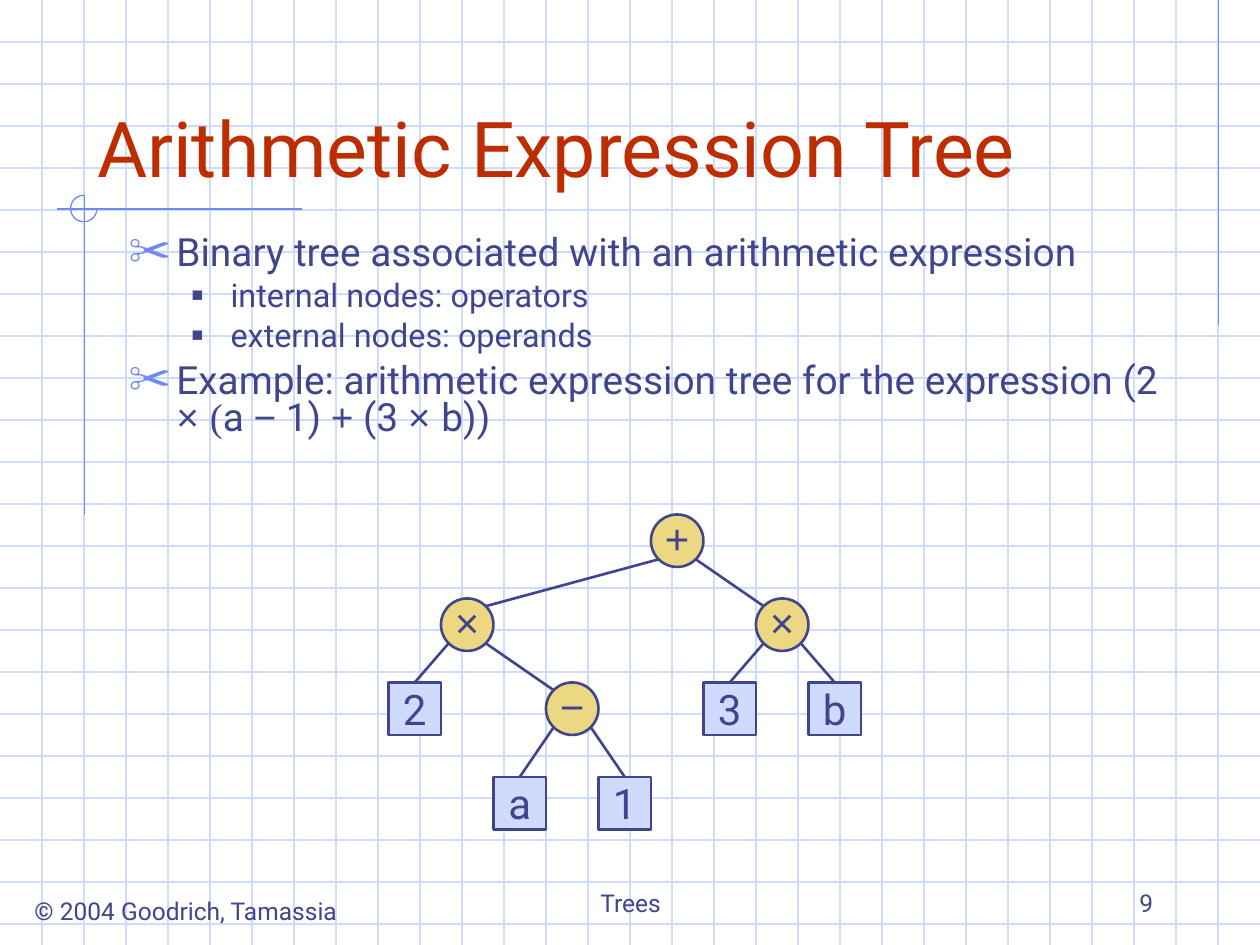
from lxml import etree
from pptx import Presentation
from pptx.dml.color import RGBColor
from pptx.enum.shapes import MSO_CONNECTOR, MSO_SHAPE as Shape
from pptx.enum.text import MSO_ANCHOR as Anchor, MSO_AUTO_SIZE as AutoSize, PP_ALIGN as Align
from pptx.oxml.ns import qn
from pptx.util import Inches, Pt

INK, RED, BLUE, PALE, GOLD = "40458C", "BE2D00", "6F89F7", "CFDBFD", "ECD882"
rgb = RGBColor.from_string


def draw_line(x1, y1, x2, y2, color, width=0.75):
    line = shapes.add_connector(MSO_CONNECTOR.STRAIGHT, *map(Inches, (x1, y1, x2, y2)))
    line.line.color.rgb = rgb(color)
    line.line.width = Pt(width)
    etree.SubElement(line._element.spPr, qn("a:effectLst"))


def format_text(paragraph, size, color=INK, font="Roboto", align=Align.LEFT):
    paragraph.alignment = align
    paragraph.font.size = Pt(size)
    paragraph.font.color.rgb = rgb(color)
    if font:
        paragraph.font.name = font


prs = Presentation()
prs.slide_width, prs.slide_height = Inches(10), Inches(7.5)
slide = prs.slides.add_slide(prs.slide_layouts[1])
shapes = slide.shapes
title, body = shapes.title, slide.placeholders[1]

# Squared paper, three squares to the inch
for row in range(1, 23):
    draw_line(0, row / 3, 10, row / 3, PALE)
for column in range(1, 30):
    draw_line(column / 3, 0, column / 3, 7.5, PALE)

# Blue rules and the three-quarter circle at their crossing
draw_line(9.67, 0, 9.67, 2.58, BLUE)
draw_line(0.45, 1.66, 2.4, 1.66, BLUE)
draw_line(0.67, 1.55, 0.67, 4.09, BLUE)
arc = shapes.add_shape(Shape.ARC, *map(Inches, (0.56, 1.55, 0.21, 0.21)))
arc.adjustments[0], arc.adjustments[1] = 0, 162  # 0 to 270 degrees
arc.shadow.inherit = False
arc.fill.background()
arc.line.color.rgb = rgb(BLUE)
arc.line.width = Pt(0.75)

# Footer
for text, box, anchor, align in (
    ("© 2004 Goodrich, Tamassia", (0.12, 7.06, 2.71, 0.34), Anchor.TOP, Align.CENTER),
    ("Trees", (3.42, 6.83, 3.17, 0.5), Anchor.BOTTOM, Align.CENTER),
    ("9", (7.17, 6.83, 2.08, 0.5), Anchor.BOTTOM, Align.RIGHT),
):
    footer = shapes.add_textbox(*map(Inches, box)).text_frame
    footer.word_wrap = True
    footer.vertical_anchor = anchor
    footer.text = text
    format_text(footer.paragraphs[0], 14, align=align)

# Title and list, brought in front of the squared paper
for holder, box, anchor in (
    (title, (0.67, 0.33, 8.5, 1.25), Anchor.BOTTOM),
    (body, (0.92, 1.83, 8.5, 2.08), Anchor.TOP),
):
    holder.left, holder.top, holder.width, holder.height = map(Inches, box)
    holder.text_frame.auto_size = AutoSize.NONE
    holder.text_frame.vertical_anchor = anchor
    shapes._spTree.append(holder._element)
title.text_frame.text = "Arithmetic Expression Tree"
format_text(title.text_frame.paragraphs[0], 44, RED)

# Per level: size, space before, left margin, hanging indent, bullet, its colour and percent
levels = (
    (22.2, 6, 0.38, 0.38, "✂", BLUE, 110),
    (18.5, 5, 0.81, 0.31, "■", INK, 60),
)
points = (
    (0, [("Binary tree associated with an arithmetic expression", "Roboto")]),
    (1, [("internal nodes: operators", "Roboto")]),
    (1, [("external nodes: operands", "Roboto")]),
    (0, [
        ("Example: arithmetic expression tree for the expression (2 ", "Roboto"),
        ("× ", "Arial"), ("(", "Times New Roman"), ("a ", "Roboto"),
        ("−", "Arial"), (" 1) ", "Roboto"), ("+", "Arial"),
        (" (3 ", "Roboto"), ("× ", "Arial"), ("b))", "Roboto"),
    ]),
)
for index, (level, parts) in enumerate(points):
    size, space, margin, hanging, bullet, bullet_color, percent = levels[level]
    point = body.text_frame.add_paragraph() if index else body.text_frame.paragraphs[0]
    point.level = level
    props = point._p.get_or_add_pPr()
    props.set("marL", str(Inches(margin)))
    props.set("indent", str(-Inches(hanging)))
    color_tag = etree.SubElement(props, qn("a:buClr"))
    etree.SubElement(color_tag, qn("a:srgbClr"), val=bullet_color)
    etree.SubElement(props, qn("a:buSzPct"), val=str(percent * 1000))
    etree.SubElement(props, qn("a:buChar"), char=bullet)
    point.line_spacing = 0.8
    point.space_before = Pt(space if index else 0)
    format_text(point, size, font=parts[0][1] if len(parts) == 1 else None)
    for text, font in parts:
        run = point.add_run()
        run.text = text
        if len(parts) > 1:
            run.font.name = font

# Expression tree: symbol, column, row in twelfths of an inch, parent, side of parent
UNIT, NODE = 1 / 12, 5 / 12
DIAGONAL = NODE / 2 * (1 - 0.5 ** 0.5)  # from a circle's box to its 45 degree point
nodes = (
    ("+", 62, 49, None, None),
    ("×", 42, 57, 0, "left"),
    ("×", 72, 57, 0, "right"),
    ("−", 52, 65, 1, "right"),
    ("2", 37, 65, 1, "left"),
    ("a", 47, 74, 3, "left"),
    ("1", 57, 74, 3, "right"),
    ("3", 67, 65, 2, "left"),
    ("b", 77, 65, 2, "right"),
)
for symbol, column, row, parent, side in nodes:
    x, y = column * UNIT, row * UNIT
    operator = symbol in "+×−"
    node = shapes.add_shape(Shape.OVAL if operator else Shape.RECTANGLE,
                            *map(Inches, (x, y, NODE, NODE)))
    node.shadow.inherit = False
    node.fill.solid()
    node.fill.fore_color.rgb = rgb(GOLD if operator else PALE)
    node.line.color.rgb = rgb(INK)
    node.line.width = Pt(1.5)
    label = node.text_frame
    label.word_wrap = False
    label.vertical_anchor = Anchor.MIDDLE
    label.margin_left = label.margin_right = Inches(0 if operator else 0.1)
    label.margin_top = Inches(0 if operator else 0.05)
    label.margin_bottom = Inches(0.05)
    label.text = symbol
    format_text(label.paragraphs[0], 24, font="Arial" if operator else "Roboto",
                align=Align.CENTER)

    # Branch from the parent's lower diagonal to the child's top
    if parent is not None:
        near, far = DIAGONAL, NODE - DIAGONAL
        start = nodes[parent][1] * UNIT + (near if side == "left" else far)
        end = x + (far if side == "left" else near) if operator else x + NODE / 2
        draw_line(start, nodes[parent][2] * UNIT + far,
                  end, y + (near if operator else 0), INK, 1.5)

prs.save("out.pptx")
